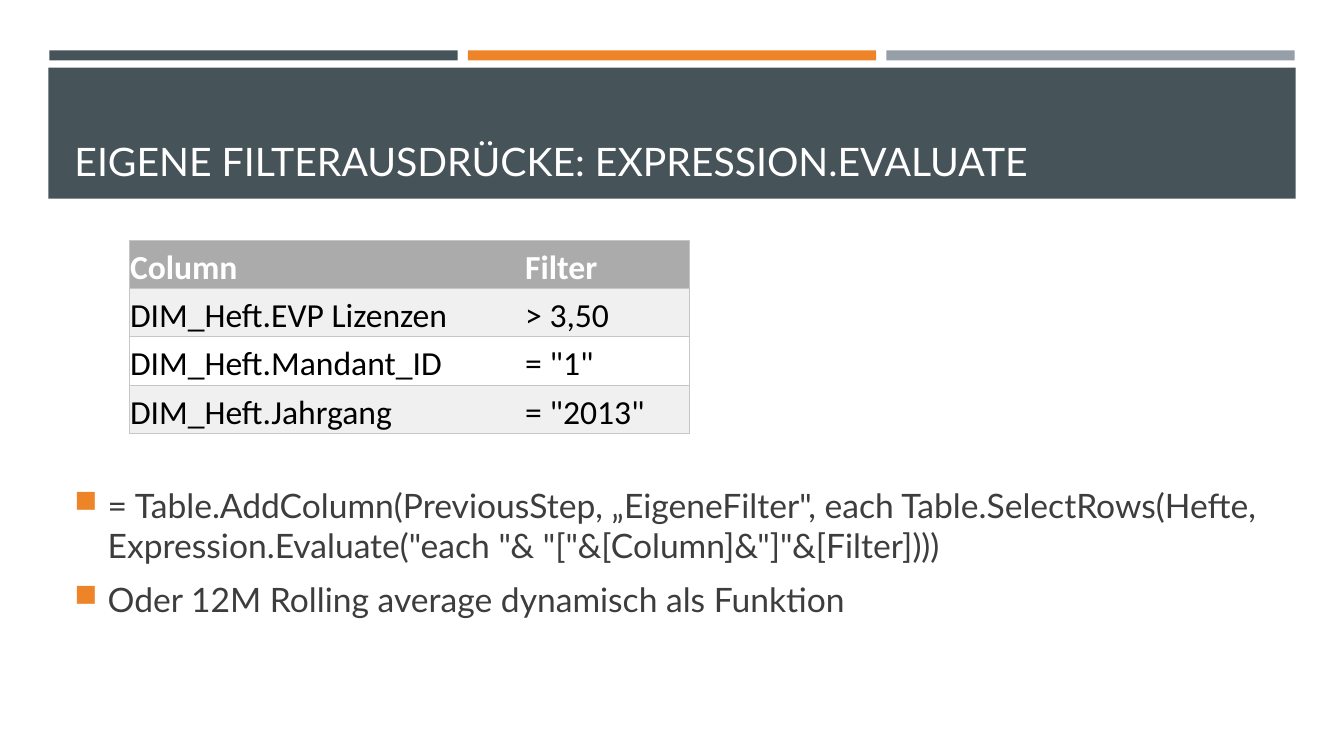
"""Build the slide on custom filter expressions with Expression.Evaluate."""
from lxml import etree
from pptx import Presentation
from pptx.dml.color import RGBColor
from pptx.enum.shapes import MSO_SHAPE
from pptx.enum.text import MSO_ANCHOR
from pptx.oxml.ns import qn
from pptx.util import Inches, Pt

RECTANGLE = MSO_SHAPE.RECTANGLE
TOP, BOTTOM = MSO_ANCHOR.TOP, MSO_ANCHOR.BOTTOM
COLORS = {"slate": "465359", "orange": "ED8428", "gray": "969FA7", "white": "FFFFFF",
          "body": "3D3D3D", "black": "000000", "header": "ABABAB", "band": "F0F0F0",
          "border": "C6C6C6"}

TITLE = "EIGENE FILTERAUSDRÜCKE: EXPRESSION.EVALUATE"
FILTERS = [("Column", "Filter"),
           ("DIM_Heft.EVP Lizenzen", "> 3,50"),
           ("DIM_Heft.Mandant_ID", '= "1"'),
           ("DIM_Heft.Jahrgang", '= "2013"')]
STEPS = ['= Table.AddColumn(PreviousStep, „EigeneFilter", each Table.SelectRows(Hefte, '
         'Expression.Evaluate("each "& "["&[Column]&"]"&[Filter])))',
         "Oder 12M Rolling average dynamisch als Funktion"]
ACCENTS = ["slate", "orange", "gray"]
ACCENT_LEFT, ACCENT_WIDTH, ACCENT_PITCH = 0.49, 4.05, 4.15
COLUMN_WIDTHS = [3.92, 1.64]
ROW_HEIGHT = 0.48


def rgb(name):
    return RGBColor.from_string(COLORS[name])


def write(frame, lines, size, color, font="Lato", bold=False, gap=0, bullet=None):
    frame.word_wrap = True
    for index, line in enumerate(lines):
        paragraph = frame.paragraphs[0] if index == 0 else frame.add_paragraph()
        paragraph.space_after = Pt(gap)
        run = paragraph.add_run()
        run.text = line
        run.font.size, run.font.name, run.font.bold = Pt(size), font, bold
        run.font.color.rgb = rgb(color)
        if bullet:
            properties = paragraph._p.get_or_add_pPr()
            properties.set("marL", str(Inches(0.33)))
            properties.set("indent", str(-Inches(0.33)))
            bullet_color = etree.SubElement(properties, qn("a:buClr"))
            etree.SubElement(bullet_color, qn("a:srgbClr"), val=COLORS[bullet])
            etree.SubElement(properties, qn("a:buSzPct"), val="92000")
            etree.SubElement(properties, qn("a:buChar"), char="■")


def add_bar(left, top, width, height, color):
    bar = slide.shapes.add_shape(RECTANGLE, Inches(left), Inches(top),
                                 Inches(width), Inches(height))
    bar.shadow.inherit = False
    bar.fill.solid()
    bar.fill.fore_color.rgb = rgb(color)
    bar.line.fill.background()


def add_text(left, top, width, height, lines, anchor, **style):
    box = slide.shapes.add_textbox(Inches(left), Inches(top), Inches(width), Inches(height))
    box.text_frame.vertical_anchor = anchor
    write(box.text_frame, lines, **style)


def set_borders(cell, visible):
    properties = cell._tc.get_or_add_tcPr()
    for side in ("L", "R", "T", "B"):
        line = etree.SubElement(properties, qn("a:ln" + side), w=str(Pt(0.5)))
        if side in visible:
            fill = etree.SubElement(line, qn("a:solidFill"))
            etree.SubElement(fill, qn("a:srgbClr"), val=COLORS["border"])
        else:
            etree.SubElement(line, qn("a:noFill"))


def add_filter_table(left, top):
    table = slide.shapes.add_table(
        len(FILTERS), len(COLUMN_WIDTHS), Inches(left), Inches(top),
        Inches(sum(COLUMN_WIDTHS)), Inches(ROW_HEIGHT * len(FILTERS))).table
    table.horz_banding = False
    for column, width in zip(table.columns, COLUMN_WIDTHS):
        column.width = Inches(width)
    for row, values in enumerate(FILTERS):
        header = row == 0
        for column, value in enumerate(values):
            cell = table.cell(row, column)
            cell.margin_left = cell.margin_right = cell.margin_top = Inches(0.01)
            cell.margin_bottom = 0
            cell.vertical_anchor = BOTTOM
            set_borders(cell, "TB" + "LR"[column])
            if header or row % 2:
                cell.fill.solid()
                cell.fill.fore_color.rgb = rgb("header" if header else "band")
            else:
                cell.fill.background()
            write(cell.text_frame, [value], size=24, font="Calibri", bold=header,
                  color="white" if header else "black")


prs = Presentation()
prs.slide_width, prs.slide_height = Inches(13.33), Inches(7.5)
slide = prs.slides.add_slide(prs.slide_layouts[6])

for position, accent in enumerate(ACCENTS):
    add_bar(ACCENT_LEFT + position * ACCENT_PITCH, 0.5, ACCENT_WIDTH, 0.1, accent)
add_bar(0.48, 0.67, 12.37, 1.3, "slate")
add_text(0.64, 0.77, 12.06, 1.11, [TITLE], BOTTOM, size=28, color="white")
add_text(0.64, 4.76, 12.06, 1.64, STEPS, TOP, size=24, color="body", gap=10, bullet="orange")
add_filter_table(1.28, 2.38)

prs.save("out.pptx")
